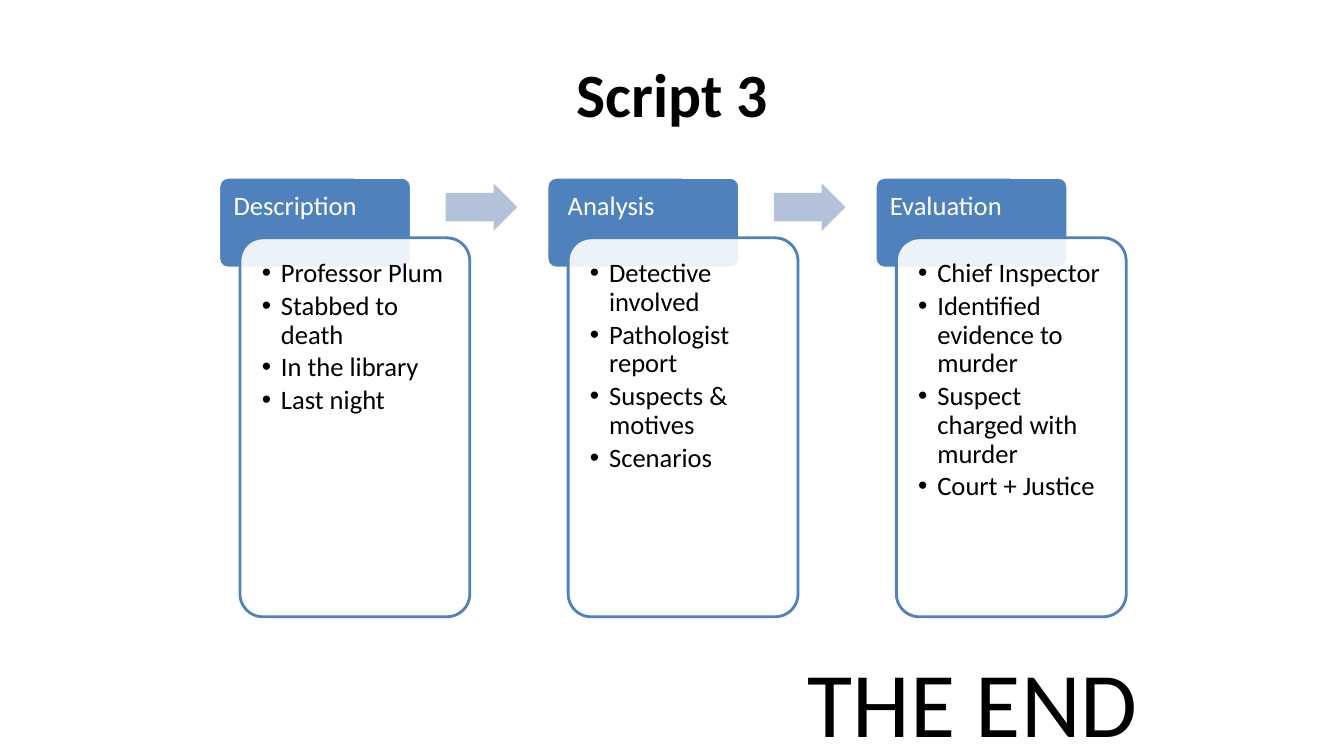
from dataclasses import dataclass

from lxml import etree
from pptx import Presentation
from pptx.dml.color import RGBColor
from pptx.enum.shapes import MSO_SHAPE
from pptx.enum.text import MSO_ANCHOR, MSO_AUTO_SIZE, PP_ALIGN
from pptx.oxml.ns import qn
from pptx.util import Inches, Pt

ROUNDED, ARROW = MSO_SHAPE.ROUNDED_RECTANGLE, MSO_SHAPE.RIGHT_ARROW
TOP, MIDDLE = MSO_ANCHOR.TOP, MSO_ANCHOR.MIDDLE
LEFT, CENTER = PP_ALIGN.LEFT, PP_ALIGN.CENTER
FIT_SHAPE = MSO_AUTO_SIZE.SHAPE_TO_FIT_TEXT

TITLE = "Script 3"
CLOSING = "THE END"
STAGES = [
    ("Description",
     ["Professor Plum", "Stabbed to death", "In the library", "Last night"]),
    (" Analysis",
     ["Detective involved", "Pathologist report", "Suspects & motives",
      "Scenarios"]),
    ("Evaluation",
     ["Chief Inspector", "Identified evidence to murder",
      "Suspect charged with murder", "Court + Justice"]),
]


@dataclass(frozen=True)
class Theme:
    font: str = "Calibri"
    ink: str = "000000"
    paper: str = "FFFFFF"
    accent: str = "4F81BD"
    arrow: str = "B3C1DB"
    title_size: int = 44
    stage_size: int = 19
    closing_size: int = 66


THEME = Theme()

# Inches: stages sit on columns one pitch apart
FIRST_LEFT, TOP_EDGE, PITCH = 2.17, 1.76, 3.255
HEADER_SIZE = (1.91, 0.9)
PANEL_OFFSET, PANEL_SIZE = (0.21, 0.6), (2.28, 3.76)
ARROW_OFFSET, ARROW_SIZE = (2.25, 0.06), (0.71, 0.47)
BULLET_INDENT = 0.19


def add_run(paragraph, text, size, color, bold=False):
    run = paragraph.add_run()
    run.text = text
    run.font.name = THEME.font
    run.font.size = Pt(size)
    run.font.bold = bold
    run.font.color.rgb = RGBColor.from_string(color)


def add_block(slide, preset, origin, offset, size, fill, adjustments, line=None):
    box = (origin[0] + offset[0], origin[1] + offset[1], *size)
    block = slide.shapes.add_shape(preset, *map(Inches, box))
    block.shadow.inherit = False
    for index, value in enumerate(adjustments):
        block.adjustments[index] = value
    block.fill.solid()
    block.fill.fore_color.rgb = RGBColor.from_string(fill)
    if line:
        block.line.color.rgb = RGBColor.from_string(line)
        block.line.width = Pt(2)
    else:
        block.line.fill.background()
    return block


def top_text_frame(block, inset):
    frame = block.text_frame
    frame.word_wrap = True
    frame.vertical_anchor = TOP
    frame.margin_left = frame.margin_right = Inches(inset)
    frame.margin_top = frame.margin_bottom = Inches(inset)
    return frame


def set_spacing(paragraph, after):
    paragraph.alignment = LEFT
    paragraph.line_spacing = 0.9
    paragraph.space_after = Pt(after)


def add_bullet(paragraph):
    properties = paragraph._p.get_or_add_pPr()
    properties.set("marL", str(Inches(BULLET_INDENT)))
    properties.set("indent", str(-Inches(BULLET_INDENT)))
    etree.SubElement(properties, qn("a:buFont"), typeface="Arial")
    etree.SubElement(properties, qn("a:buChar"), char="•")


def set_opacity(block, percent):
    color = block.fill._xPr.find(qn("a:solidFill"))[0]
    etree.SubElement(color, qn("a:alpha"), val=str(percent * 1000))


def add_stage(slide, origin, heading, points):
    header = add_block(slide, ROUNDED, origin, (0, 0), HEADER_SIZE,
                       THEME.accent, [0.1], THEME.paper)
    label = top_text_frame(header, 0.12).paragraphs[0]
    set_spacing(label, 0)
    add_run(label, heading, THEME.stage_size, THEME.paper)

    panel = add_block(slide, ROUNDED, origin, PANEL_OFFSET, PANEL_SIZE,
                      THEME.paper, [0.1], THEME.accent)
    set_opacity(panel, 90)
    frame = top_text_frame(panel, 0.15)
    for index, point in enumerate(points):
        paragraph = frame.add_paragraph() if index else frame.paragraphs[0]
        set_spacing(paragraph, 2.9)
        add_bullet(paragraph)
        add_run(paragraph, point, THEME.stage_size, THEME.ink)


def main():
    deck = Presentation()
    deck.slide_width, deck.slide_height = Inches(13.33), Inches(7.5)
    slide = deck.slides.add_slide(deck.slide_layouts[5])

    title = slide.shapes.title
    title.left, title.top = Inches(0.67), Inches(0.3)
    title.width, title.height = Inches(12), Inches(1.25)
    title.text_frame.vertical_anchor = MIDDLE
    heading = title.text_frame.paragraphs[0]
    heading.alignment = CENTER
    add_run(heading, TITLE, THEME.title_size, THEME.ink, bold=True)

    for column, (stage, points) in enumerate(STAGES):
        origin = (FIRST_LEFT + column * PITCH, TOP_EDGE)
        add_stage(slide, origin, stage, points)
        if column < len(STAGES) - 1:
            add_block(slide, ARROW, origin, ARROW_OFFSET, ARROW_SIZE,
                      THEME.arrow, [0.6, 0.5])

    closing = slide.shapes.add_textbox(*map(Inches, (7.91, 6.35, 3.72, 1.21)))
    closing.text_frame.word_wrap = False
    closing.text_frame.auto_size = FIT_SHAPE
    add_run(closing.text_frame.paragraphs[0], CLOSING,
            THEME.closing_size, THEME.ink)

    deck.save("out.pptx")


if __name__ == "__main__":
    main()
